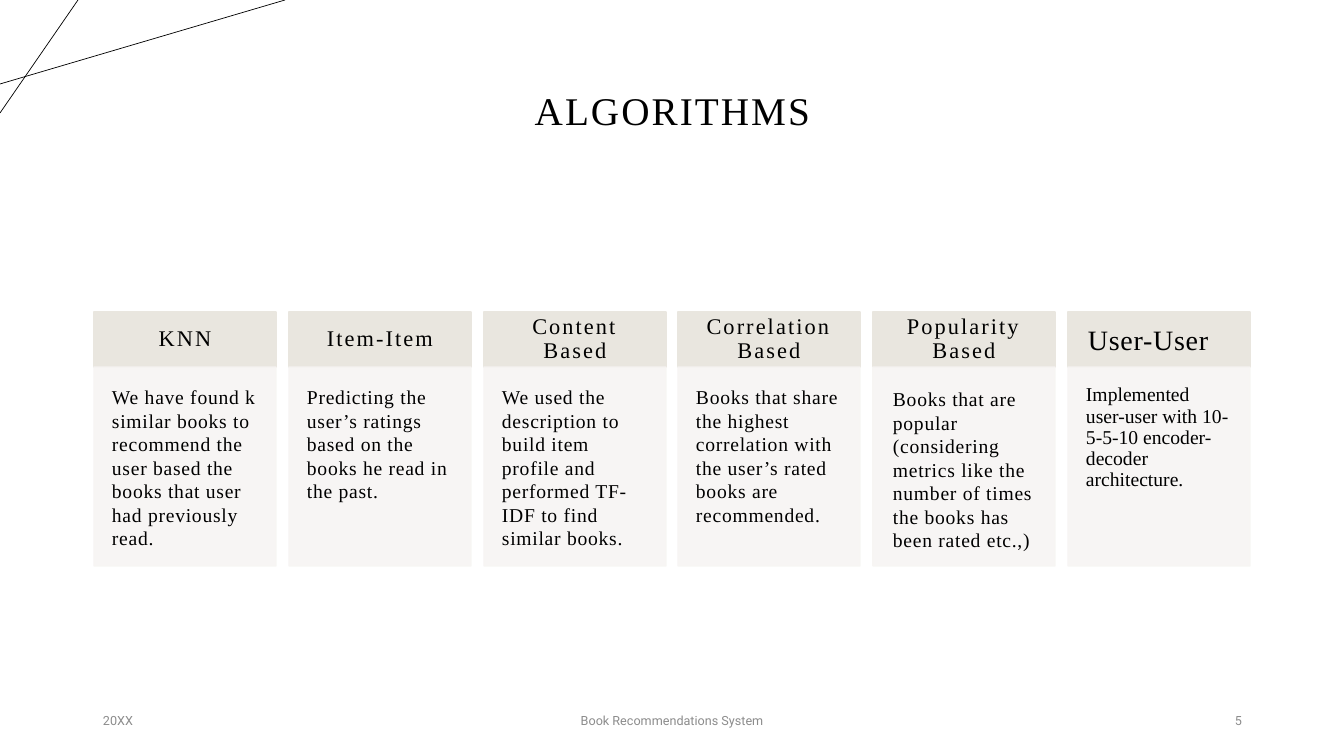
from lxml import etree
from pptx import Presentation
from pptx.dml.color import RGBColor
from pptx.enum.shapes import MSO_CONNECTOR, MSO_SHAPE
from pptx.enum.text import MSO_ANCHOR, PP_ALIGN
from pptx.oxml.ns import qn
from pptx.util import Pt

PX = 914400 / 100.8
BLACK = RGBColor(0x00, 0x00, 0x00)
GREY = RGBColor(0x8C, 0x8C, 0x8C)
SAND = RGBColor(0xE9, 0xE6, 0xDF)
IVORY = RGBColor(0xF7, 0xF5, 0xF3)
SERIF, SANS = "Times New Roman", "Roboto"
LEFT, CENTER, RIGHT = PP_ALIGN.LEFT, PP_ALIGN.CENTER, PP_ALIGN.RIGHT
TOP, MIDDLE = MSO_ANCHOR.TOP, MSO_ANCHOR.MIDDLE
RECTANGLE, STRAIGHT = MSO_SHAPE.RECTANGLE, MSO_CONNECTOR.STRAIGHT

ROW_LEFT, ROW_RIGHT, CARD_WIDTH = 94, 1250, 182
HEADING_TOP, HEADING_HEIGHT = 312, 55
DETAIL_TOP, DETAIL_HEIGHT = HEADING_TOP + HEADING_HEIGHT, 199

HEADING = dict(size=16, align=CENTER, anchor=MIDDLE, inset=(14, 14),
               line_spacing=0.9, tracking=1.5)
DETAIL = dict(size=14, inset=(18, 18), tracking=0.5)
ALGORITHMS = [
    ("KNN", "We have found k similar books to recommend the user based the "
     "books that user had previously read.", {}, {}),
    ("Item-Item", "Predicting the user’s ratings based on the books he read "
     "in the past.", {}, {}),
    ("Content Based", "We used the description to build item profile and "
     "performed TF-IDF to find similar books.", {}, {}),
    ("Correlation Based", "Books that share the highest correlation with the "
     "user’s rated books are recommended.", {}, {}),
    ("Popularity Based", "Books that are popular (considering metrics like the "
     "number of times the books has been rated etc.,)", {},
     dict(inset=(20, 20))),
    ("User-User", "Implemented user-user with 10-5-5-10 encoder-decoder "
     "architecture.",
     dict(size=20, align=LEFT, inset=(20, 20), line_spacing=1, tracking=0.5),
     dict(line_spacing=0.9, tracking=0)),
]
FOOTER = [("20XX", 93, 302, LEFT),
          ("Book Recommendations System", 445, 454, CENTER),
          ("5", 949, 303, RIGHT)]


def px(*lengths):
    """Turn pixel lengths into EMU."""
    return [round(length * PX) for length in lengths]


def write(holder, text, size, font=SERIF, color=BLACK, align=LEFT, anchor=TOP,
          inset=(10, 5), line_spacing=1, tracking=0):
    """Put one formatted paragraph into a shape or text box."""
    frame = holder.text_frame
    frame.word_wrap = True
    frame.vertical_anchor = anchor
    side, edge = px(*inset)
    frame.margin_left = frame.margin_right = side
    frame.margin_top = frame.margin_bottom = edge
    paragraph = frame.paragraphs[0]
    paragraph.alignment = align
    paragraph.line_spacing = line_spacing
    run = paragraph.add_run()
    run.text = text
    run.font.size = Pt(size)
    run.font.name = font
    run.font.color.rgb = color
    run.font._element.set("spc", str(round(tracking * 100)))


def add_label(slide, box, text, **text_format):
    """Add a text box with one formatted paragraph."""
    write(slide.shapes.add_textbox(*px(*box)), text, **text_format)


def add_panel(slide, box, color, opacity=100):
    """Add a rectangle whose fill and outline share a colour."""
    panel = slide.shapes.add_shape(RECTANGLE, *px(*box))
    panel.shadow.inherit = False
    panel.fill.solid()
    panel.fill.fore_color.rgb = color
    panel.line.color.rgb = color
    panel.line.width = Pt(1)
    if opacity < 100:
        for shade in panel._element.spPr.iter(qn("a:srgbClr")):
            etree.SubElement(shade, qn("a:alpha"), val=str(opacity * 1000))
    return panel


def add_stroke(slide, *ends):
    """Add a thin black line between two points."""
    stroke = slide.shapes.add_connector(STRAIGHT, *px(*ends))
    stroke.line.color.rgb = BLACK
    stroke.line.width = Pt(0.5)
    etree.SubElement(stroke._element.spPr, qn("a:effectLst"))


def add_card(slide, left, name, description, name_format, description_format):
    """Add an algorithm's heading above its description."""
    heading = add_panel(
        slide, (left, HEADING_TOP, CARD_WIDTH, HEADING_HEIGHT), SAND)
    write(heading, name, **{**HEADING, **name_format})
    detail = add_panel(
        slide, (left, DETAIL_TOP, CARD_WIDTH, DETAIL_HEIGHT), IVORY, 90)
    write(detail, description, **{**DETAIL, **description_format})


def main():
    """Build and save the slide."""
    deck = Presentation()
    deck.slide_width, deck.slide_height = px(1344, 756)
    slide = deck.slides.add_slide(deck.slide_layouts[6])
    add_stroke(slide, 0, 84, 285, 0)
    add_stroke(slide, 78, 0, 0, 113)
    add_label(slide, (93, 40, 1159, 146), "ALGORITHMS", size=28, align=CENTER,
              anchor=MIDDLE, line_spacing=0.9, tracking=1.5)
    pitch = (ROW_RIGHT - ROW_LEFT - CARD_WIDTH) / (len(ALGORITHMS) - 1)
    for column, algorithm in enumerate(ALGORITHMS):
        add_card(slide, round(ROW_LEFT + column * pitch), *algorithm)
    for text, left, width, align in FOOTER:
        add_label(slide, (left, 701, width, 40), text, size=9, font=SANS,
                  color=GREY, align=align, anchor=MIDDLE)
    deck.save("out.pptx")


main()
